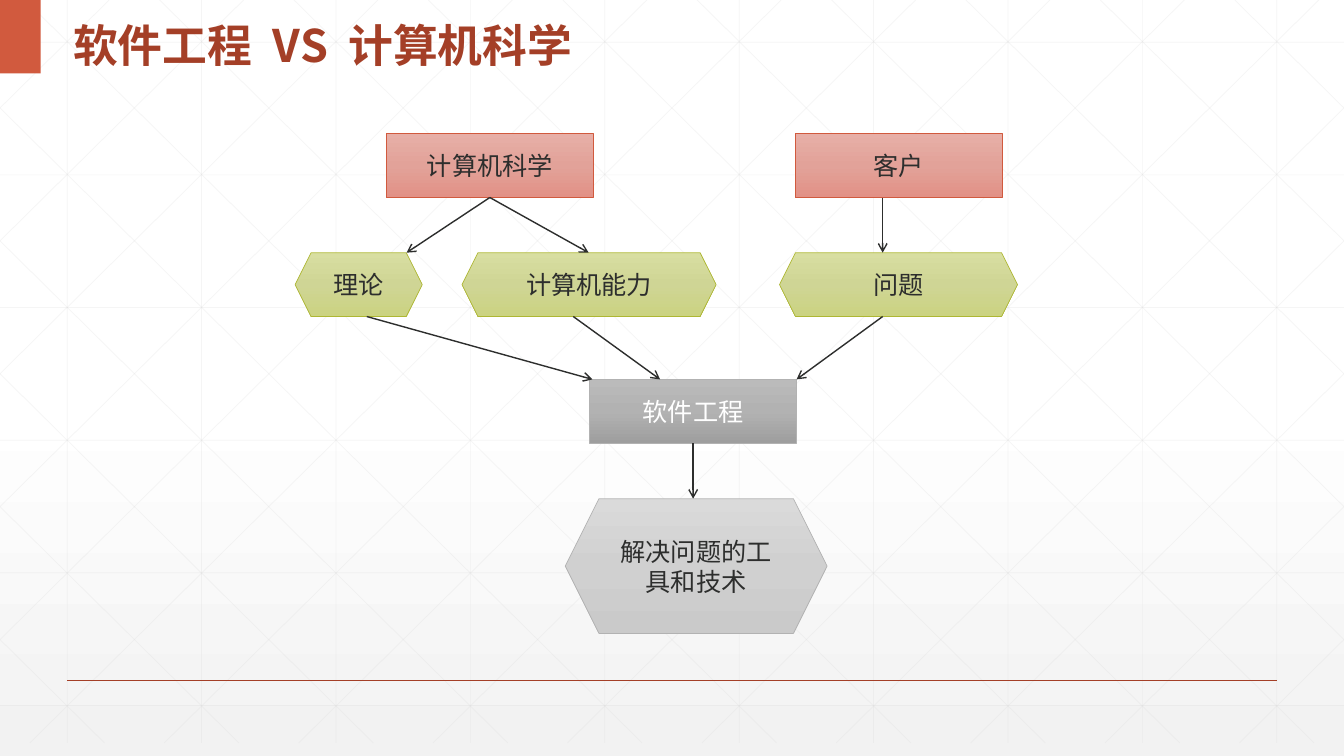
import pptx
import pptx.dml.color
import pptx.enum.shapes
import pptx.enum.text
import pptx.oxml
import pptx.oxml.ns
import pptx.util
from lxml import etree

Pt = pptx.util.Pt
RGBColor = pptx.dml.color.RGBColor
MSO_SHAPE = pptx.enum.shapes.MSO_SHAPE
MSO_ANCHOR = pptx.enum.text.MSO_ANCHOR
PP_ALIGN = pptx.enum.text.PP_ALIGN
qn = pptx.oxml.ns.qn

WHITE = RGBColor(0xFF, 0xFF, 0xFF)
PALE_GREY = RGBColor(0xF2, 0xF2, 0xF2)
GRID_GREY = RGBColor(0xD9, 0xD9, 0xD9)
INK = RGBColor(0x2D, 0x2E, 0x2D)
BRICK = RGBColor(0xA4, 0x3F, 0x27)
ORANGE = RGBColor(0xD1, 0x5A, 0x3E)
OLIVE = RGBColor(0xAE, 0xB7, 0x33)
GREY = RGBColor(0xB2, 0xB2, 0xB2)

# Gradient colours from top to bottom
RED_FILL = (RGBColor(0xE7, 0xAF, 0xA7), RGBColor(0xE2, 0xA2, 0x99), RGBColor(0xE2, 0x91, 0x86))
GREEN_FILL = (RGBColor(0xD8, 0xDE, 0xA1), RGBColor(0xCF, 0xD5, 0x95), RGBColor(0xCB, 0xD3, 0x81))
DARK_FILL = (RGBColor(0xBB, 0xBB, 0xBB), GREY, RGBColor(0x9E, 0x9E, 0x9E))
LIGHT_FILL = (RGBColor(0xDA, 0xDA, 0xDA), RGBColor(0xD0, 0xD0, 0xD0), RGBColor(0xCA, 0xCA, 0xCA))

WIDTH, HEIGHT = 960, 540
GRID_BOTTOM = 530.6
GRID_STEP = 96


class Deck:
    latin_font = "Arial"
    asian_font = "Noto Sans CJK SC"

    def __init__(self):
        self.presentation = pptx.Presentation()
        self.presentation.slide_width = Pt(WIDTH)
        self.presentation.slide_height = Pt(HEIGHT)
        self.slide = self.presentation.slides.add_slide(self.presentation.slide_layouts[6])

    def gradient(self, fill, element, colors, middle=50):
        """Fill from top to bottom with three colours."""
        fill.gradient()
        fill.gradient_angle = 270
        stops = element.xpath(".//a:gsLst")[0]
        for stop in list(stops):
            stops.remove(stop)
        for position, color in zip((0, middle, 100), colors):
            stop = etree.SubElement(stops, qn("a:gs"), pos=str(position * 1000))
            etree.SubElement(stop, qn("a:srgbClr"), val=str(color))

    def background(self, colors, middle):
        self.gradient(self.slide.background.fill, self.slide.element, colors, middle)

    def style_run(self, run, size, color, latin_font, bold=False):
        run.font.size = Pt(size)
        run.font.bold = bold
        run.font.color.rgb = color
        run.font.name = latin_font
        etree.SubElement(run.font._element, qn("a:ea"), typeface=self.asian_font)

    def title(self, words, left, top, width, height):
        box = self.slide.shapes.add_textbox(Pt(left), Pt(top), Pt(width), Pt(height))
        box.text_frame.word_wrap = True
        box.text_frame.vertical_anchor = MSO_ANCHOR.MIDDLE
        paragraph = box.text_frame.paragraphs[0]
        paragraph.line_spacing = 1.3
        for index, word in enumerate(words):
            for text in ([" "] if index else []) + [word]:
                run = paragraph.add_run()
                run.text = text
                self.style_run(run, 32, BRICK, self.asian_font, bold=True)
                if text == " ":
                    run.font._element.set("spc", "720")

    def block(self, left, top, width, height, color):
        shape = self.slide.shapes.add_shape(
            MSO_SHAPE.RECTANGLE, Pt(left), Pt(top), Pt(width), Pt(height))
        shape.shadow.inherit = False
        shape.fill.solid()
        shape.fill.fore_color.rgb = color
        shape.line.fill.background()

    def node(self, kind, text, left, top, width, height, colors, outline, text_color=INK):
        shape = self.slide.shapes.add_shape(kind, Pt(left), Pt(top), Pt(width), Pt(height))
        shape.shadow.inherit = False
        self.gradient(shape.fill, shape.element, colors)
        shape.line.color.rgb = outline
        shape.line.width = Pt(0.5)
        shape.text_frame.text = text
        shape.text_frame.word_wrap = True
        shape.text_frame.vertical_anchor = MSO_ANCHOR.MIDDLE
        paragraph = shape.text_frame.paragraphs[0]
        paragraph.alignment = PP_ALIGN.CENTER
        self.style_run(paragraph.runs[0], 18, text_color, self.latin_font)
        return shape

    def line(self, x1, y1, x2, y2, color, width=1.0, opacity=100):
        connector = self.slide.shapes.add_connector(
            pptx.enum.shapes.MSO_CONNECTOR.STRAIGHT, Pt(x1), Pt(y1), Pt(x2), Pt(y2))
        connector.line.color.rgb = color
        connector.line.width = Pt(width)
        properties = connector.element.spPr
        if opacity < 100:
            etree.SubElement(properties.xpath(".//a:srgbClr")[0], qn("a:alpha"),
                             val=str(opacity * 1000))
        etree.SubElement(properties, qn("a:effectLst"))
        return connector

    def arrow(self, x1, y1, x2, y2, source=None):
        """Draw an arrow, joined to the bottom of source if one is given."""
        connector = self.line(x1, y1, x2, y2, INK)
        etree.SubElement(connector.line._get_or_add_ln(), qn("a:tailEnd"), type="arrow")
        if source is not None:
            connector.begin_connect(source, 2)

    def grid_line(self, x1, y1, x2, y2):
        self.line(x1, y1, x2, y2, GRID_GREY, 0.5, 25)

    def grid(self):
        for column in range(10):
            x = 48 + GRID_STEP * column
            self.grid_line(x, 0, x, GRID_BOTTOM)
        for row in range(6):
            y = 30.2 + 94.75 * row
            self.grid_line(0, y, WIDTH, y)
        run = 536.6
        slope = GRID_BOTTOM / run
        for column in range(-5, 10):
            start = 18 + GRID_STEP * column
            x1, x2 = max(start, 0), min(start + run, WIDTH)
            y1, y2 = (x1 - start) * slope, (x2 - start) * slope
            self.grid_line(x1, y1, x2, y2)
            self.grid_line(WIDTH - x1, y1, WIDTH - x2, y2)


def main():
    deck = Deck()
    deck.background((WHITE, WHITE, PALE_GREY), middle=53)
    deck.grid()
    deck.line(48, 486, 912, 486, BRICK)
    deck.block(0, 0, 29, 52.5, ORANGE)
    deck.title(("软件工程", "VS", "计算机科学"), 45.2, 0, 410, 52.5)

    box_width, box_height = 147.8, 45.6
    source_top, middle_top, engineering_top, result_top = 95.5, 180.5, 271, 356.2
    source_bottom, middle_bottom, engineering_bottom = (
        top + box_height for top in (source_top, middle_top, engineering_top))

    science = deck.node(MSO_SHAPE.RECTANGLE, "计算机科学", 276, source_top,
                        box_width, box_height, RED_FILL, ORANGE)
    deck.node(MSO_SHAPE.RECTANGLE, "客户", 568, source_top,
              box_width, box_height, RED_FILL, ORANGE)
    for text, left, width in (("理论", 210.8, 90.8), ("计算机能力", 330, 181.5),
                              ("问题", 556.8, 170)):
        deck.node(MSO_SHAPE.HEXAGON, text, left, middle_top,
                  width, box_height, GREEN_FILL, OLIVE)
    engineering = deck.node(MSO_SHAPE.RECTANGLE, "软件工程", 421.2, engineering_top,
                            box_width, box_height, DARK_FILL, GREY, WHITE)
    deck.node(MSO_SHAPE.HEXAGON, "解决问题的工具和技术", 403.8, result_top,
              187, 96.3, LIGHT_FILL, GREY)

    deck.arrow(349.9, source_bottom, 290.4, middle_top, science)
    deck.arrow(349.9, source_bottom, 420.5, middle_top, science)
    deck.arrow(630.5, source_bottom, 630.5, middle_top)
    for start, end in ((630.5, 569), (262, 423.2), (409.5, 471.5)):
        deck.arrow(start, middle_bottom, end, engineering_top)
    deck.arrow(495.1, engineering_bottom, 495.1, result_top, engineering)

    deck.presentation.save("out.pptx")


if __name__ == "__main__":
    main()
